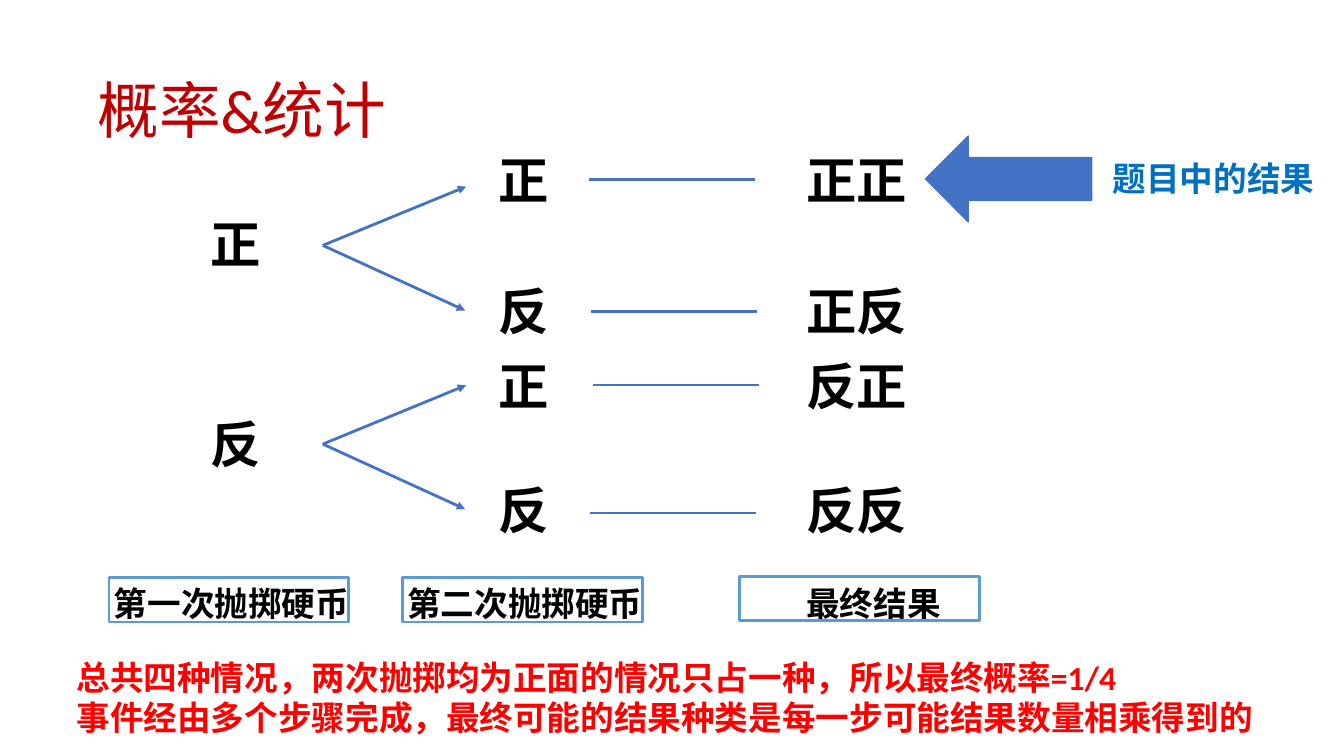
"""Build a slide with the outcome tree of two coin tosses."""
from lxml import etree
from pptx import Presentation
from pptx.dml.color import RGBColor
from pptx.enum import shapes, text
from pptx.oxml import ns
from pptx.util import Pt

BLACK = RGBColor(0x00, 0x00, 0x00)
DARK_RED = RGBColor(0xC0, 0x00, 0x00)
RED = RGBColor(0xFF, 0x00, 0x00)
BLUE = RGBColor(0x44, 0x72, 0xC4)
LIGHT_BLUE = RGBColor(0x5B, 0x9B, 0xD5)
NOTE_BLUE = RGBColor(0x00, 0x70, 0xC0)

SECOND_X, RESULT_X = 352.8, 572.4
BRANCHES = [
    ("正", 149, 175.3, [("正", 103, 128.2), ("反", 196.6, 222.5)]),
    ("反", 291.6, 317.2, [("正", 249.8, 275), ("反", 338.4, 366.5)]),
]
ARROW_ENDS = [(333, -42), (332.3, 46.5)]
LINK_STARTS = [420.5, 421.9, 423.4, 421.2]
STEPS = [
    ("第一次抛掷硬币", 77.8, 77.8, 412.6),
    ("第二次抛掷硬币", 287.3, 287.3, 412.6),
    ("最终结果", 572.4, 528.5, 411.8),
]
CONCLUSIONS = [
    "总共四种情况，两次抛掷均为正面的情况只占一种，所以最终概率=1/4",
    "事件经由多个步骤完成，最终可能的结果种类是每一步可能结果数量相乘得到的",
]


def apply(target, values):
    """Set each named attribute of the target."""
    for name, value in values.items():
        setattr(target, name, value)


def fill_text(box, lines, size, color, bold, frame_format):
    """Write the lines into the box, one paragraph each."""
    frame = box.text_frame
    margins = dict.fromkeys(
        ("margin_left", "margin_top", "margin_right", "margin_bottom"), Pt(3.6))
    apply(frame, {"word_wrap": True, **margins, **frame_format})
    for index, line in enumerate(lines):
        para = frame.add_paragraph() if index else frame.paragraphs[0]
        para.alignment = text.PP_ALIGN.LEFT
        span = para.add_run()
        span.text = line
        apply(span.font, {"name": "Calibri", "size": Pt(size), "bold": bold})
        span.font.color.rgb = color


def add_title(page, words):
    """Place and format the title placeholder."""
    title = page.shapes.title
    apply(title, {"left": Pt(66), "top": Pt(28.8),
                  "width": Pt(828), "height": Pt(104.4)})
    fill_text(title, [words], 44, DARK_RED, False,
              {"vertical_anchor": text.MSO_ANCHOR.MIDDLE,
               "auto_size": text.MSO_AUTO_SIZE.NONE})
    title.text_frame.paragraphs[0].line_spacing = 0.9


def add_text(page, lines, left, top, width, height, size=36, color=BLACK):
    """Add a bold text box."""
    box = page.shapes.add_textbox(Pt(left), Pt(top), Pt(width), Pt(height))
    fill_text(box, lines, size, color, True,
              {"auto_size": text.MSO_AUTO_SIZE.SHAPE_TO_FIT_TEXT})


def add_line(page, start, end, arrow=False):
    """Add a straight connector, with an arrowhead at its end if asked."""
    line = page.shapes.add_connector(
        shapes.MSO_CONNECTOR.STRAIGHT, *map(Pt, (*start, *end)))
    line.line.color.rgb = BLUE
    line.line.width = Pt(2)
    if arrow:
        outline = line.line._get_or_add_ln()
        etree.SubElement(outline, ns.qn("a:tailEnd"), type="triangle")
    etree.SubElement(line._element.spPr, ns.qn("a:effectLst"))


def add_figure(page, kind, left, top, width, height, color, weight, filled):
    """Add an outlined preset shape, filled or hollow."""
    figure = page.shapes.add_shape(
        kind, Pt(left), Pt(top), Pt(width), Pt(height))
    figure.shadow.inherit = False
    figure.line.color.rgb = color
    figure.line.width = Pt(weight)
    if filled:
        figure.fill.solid()
        figure.fill.fore_color.rgb = color
    else:
        figure.fill.background()


def add_tree(page):
    """Draw both tosses, their branches and the joint results."""
    link_starts = iter(LINK_STARTS)
    for first, top, fork_y, outcomes in BRANCHES:
        add_text(page, [first], 146.9, top, 84, 51)
        for (second, second_top, link_y), (end_x, rise) in zip(outcomes, ARROW_ENDS):
            add_line(page, (230.6, fork_y), (end_x, fork_y + rise), arrow=True)
            add_text(page, [second], SECOND_X, second_top, 84, 51)
            link_x = next(link_starts)
            add_line(page, (link_x, link_y), (link_x + 118.5, link_y))
            add_text(page, [first + second], RESULT_X, second_top, 84, 51)


def main():
    """Build and save the deck."""
    deck = Presentation()
    apply(deck, {"slide_width": Pt(960), "slide_height": Pt(540)})
    page = deck.slides.add_slide(deck.slide_layouts[5])
    add_title(page, "概率&统计")
    add_tree(page)
    for label, label_x, frame_x, frame_y in STEPS:
        add_text(page, [label], label_x, 412.6, 185, 36, 24)
        add_figure(page, shapes.MSO_SHAPE.RECTANGLE, frame_x, frame_y,
                   171.4, 31.7, LIGHT_BLUE, 2, False)
    add_figure(page, shapes.MSO_SHAPE.LEFT_ARROW, 661, 97.2, 118.8, 61.2,
               BLUE, 1, True)
    add_text(page, ["题目中的结果"], 791.3, 109.4, 163.4, 36, 24, NOTE_BLUE)
    add_text(page, CONCLUSIONS, 51.1, 465.8, 857.5, 65.5, 24, RED)
    deck.save("out.pptx")


if __name__ == "__main__":
    main()
